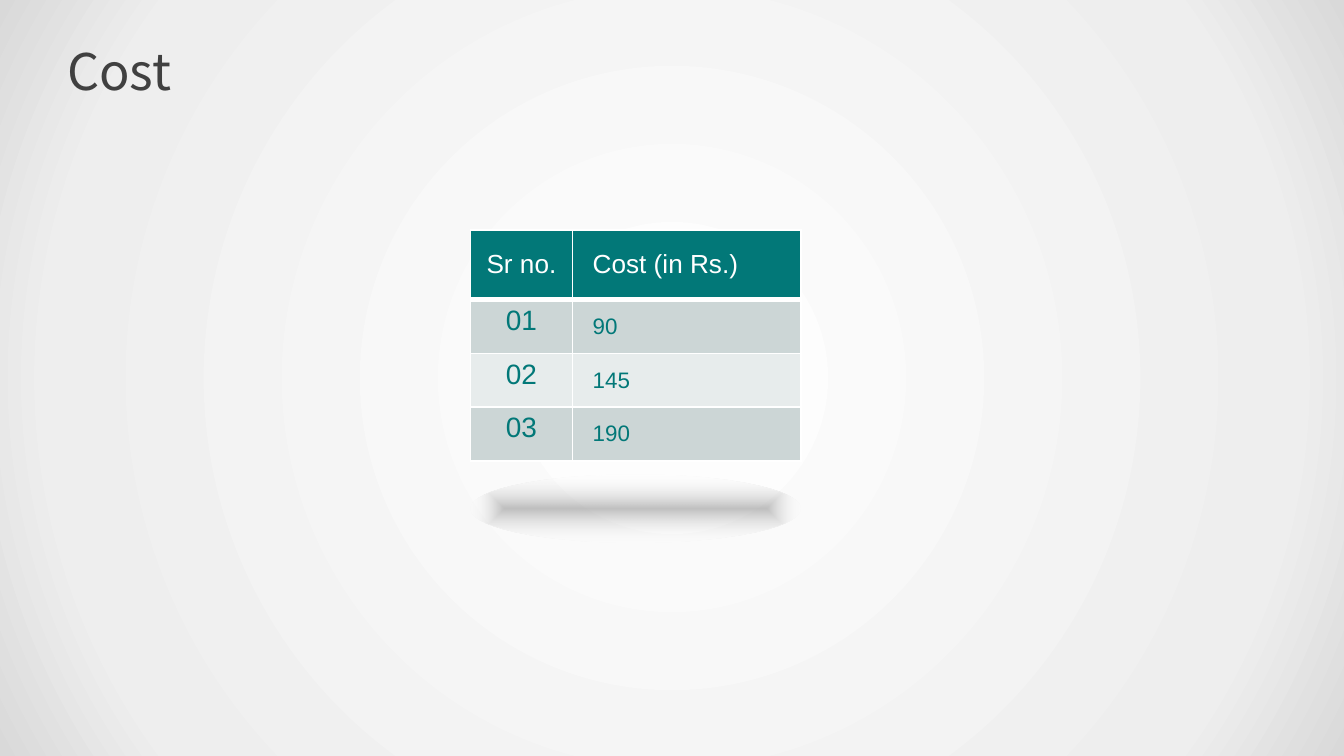
from dataclasses import dataclass

from lxml import etree
from pptx import Presentation
from pptx.dml.color import RGBColor
from pptx.enum.shapes import MSO_SHAPE
from pptx.enum.text import MSO_ANCHOR, PP_ALIGN
from pptx.oxml.ns import qn
from pptx.util import Inches, Pt

OVAL = MSO_SHAPE.OVAL
TOP, MIDDLE = MSO_ANCHOR.TOP, MSO_ANCHOR.MIDDLE
LEFT, CENTER = PP_ALIGN.LEFT, PP_ALIGN.CENTER

COLORS = {
    "white": "FFFFFF",
    "mist": "EEEEEE",
    "edge": "D9D9D9",
    "gray": "808080",
    "ink": "404040",
    "teal": "027878",
    "dark": "CCD6D6",
    "light": "E7ECEC",
}


@dataclass
class Stop:
    place: int
    color: str
    alpha: int = 100


@dataclass
class Row:
    label: str
    cost: str
    fill: str
    height: float = 0.4
    color: str = "teal"
    sizes: tuple = (15, 12)
    anchor: MSO_ANCHOR = TOP
    base: float = 1


ROWS = [
    Row("Sr no.", "Cost (in Rs.)", "teal", 0.52, "white", (14, 14), MIDDLE, 3),
    Row("01", "90", "dark"),
    Row("02", "145", "light"),
    Row("03", "190", "dark"),
]
WIDTHS = (0.76, 1.7)


def write(frame, text: str, *, size: float, color: str,
          font: str = "Arial", align: PP_ALIGN = LEFT) -> None:
    para = frame.paragraphs[0]
    para.alignment = align
    run = para.add_run()
    run.text = text
    run.font.name = font
    run.font.size = Pt(size)
    run.font.color.rgb = RGBColor.from_string(COLORS[color])


def add_color(parent, color: str, alpha: int = 100) -> None:
    node = etree.SubElement(parent, qn("a:srgbClr"), val=COLORS[color])
    if alpha < 100:
        etree.SubElement(node, qn("a:alpha"), val=str(alpha * 1000))


def set_grad(owner, kind: str, stops: list[Stop]) -> None:
    """Fill the owner's gradient with stops that spread from its centre."""
    grad = owner.find(".//" + qn("a:gradFill"))
    for child in list(grad):
        grad.remove(child)
    group = etree.SubElement(grad, qn("a:gsLst"))
    for stop in stops:
        node = etree.SubElement(group, qn("a:gs"), pos=str(stop.place * 1000))
        add_color(node, stop.color, stop.alpha)
    focus = etree.SubElement(grad, qn("a:path"), {"path": kind})
    sides = {side: "50000" for side in "ltrb"}
    etree.SubElement(focus, qn("a:fillToRect"), sides)


def set_edges(cell, color: str, base: float) -> None:
    """Draw 1 pt cell borders, with the bottom one of its own width."""
    props = cell._tc.get_or_add_tcPr()
    for side, width in zip("LRTB", (1, 1, 1, base)):
        line = etree.SubElement(props, qn(f"a:ln{side}"), w=str(Pt(width)))
        add_color(etree.SubElement(line, qn("a:solidFill")), color)


def add_title(slide, text: str) -> None:
    box = slide.shapes.add_textbox(Inches(0.5), Inches(0.23), Inches(9), Inches(0.58))
    frame = box.text_frame
    frame.word_wrap = True
    frame.vertical_anchor = MIDDLE
    frame.margin_left = frame.margin_right = 0
    frame.margin_top = frame.margin_bottom = Inches(0.07)
    write(frame, text, size=27, color="ink", font="Noto Sans CJK KR")


def add_costs(slide, left: float, top: float) -> None:
    height = sum(row.height for row in ROWS)
    table = slide.shapes.add_table(
        len(ROWS), len(WIDTHS), Inches(left), Inches(top),
        Inches(sum(WIDTHS)), Inches(height)).table
    table.horz_banding = False
    for col, width in zip(table.columns, WIDTHS):
        col.width = Inches(width)
    looks = ((CENTER, 0.07), (LEFT, 0.15))
    for r, row in enumerate(ROWS):
        table.rows[r].height = Inches(row.height)
        anchors = (row.anchor, MIDDLE)
        for c, text in enumerate((row.label, row.cost)):
            cell = table.cell(r, c)
            align, inset = looks[c]
            set_edges(cell, "white", row.base)
            cell.fill.solid()
            cell.fill.fore_color.rgb = RGBColor.from_string(COLORS[row.fill])
            cell.vertical_anchor = anchors[c]
            cell.margin_left, cell.margin_right = Inches(inset), Inches(0.07)
            cell.margin_top = cell.margin_bottom = Inches(0.04)
            write(cell.text_frame, text, size=row.sizes[c],
                  color=row.color, align=align)
            cell.text_frame.paragraphs[0].runs[0].font.bold = False


def add_shade(slide) -> None:
    shade = slide.shapes.add_shape(
        OVAL, Inches(3.5), Inches(3.53), Inches(2.46), Inches(0.51))
    shade.shadow.inherit = False
    shade.line.fill.background()
    shade.fill.gradient()
    set_grad(shade.element, "shape", [Stop(0, "gray", 49), Stop(100, "white", 0)])


def main() -> None:
    deck = Presentation()
    deck.slide_width = Inches(10)
    deck.slide_height = deck.slide_width * 9 // 16
    slide = deck.slides.add_slide(deck.slide_layouts[6])
    slide.background.fill.gradient()
    set_grad(slide.element, "circle",
             [Stop(0, "white"), Stop(81, "mist"), Stop(100, "edge")])
    add_title(slide, "Cost")
    add_costs(slide, 3.5, 1.71)
    add_shade(slide)
    deck.save("out.pptx")


if __name__ == "__main__":
    main()
